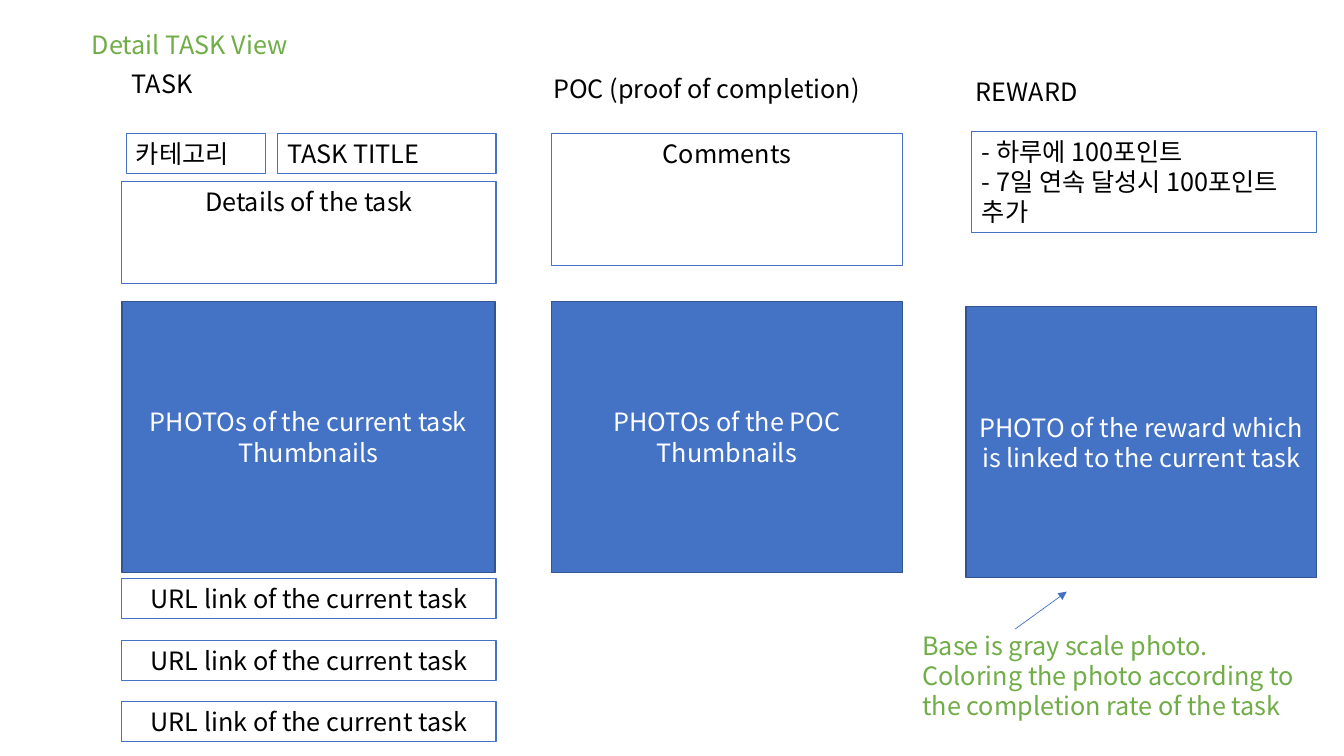
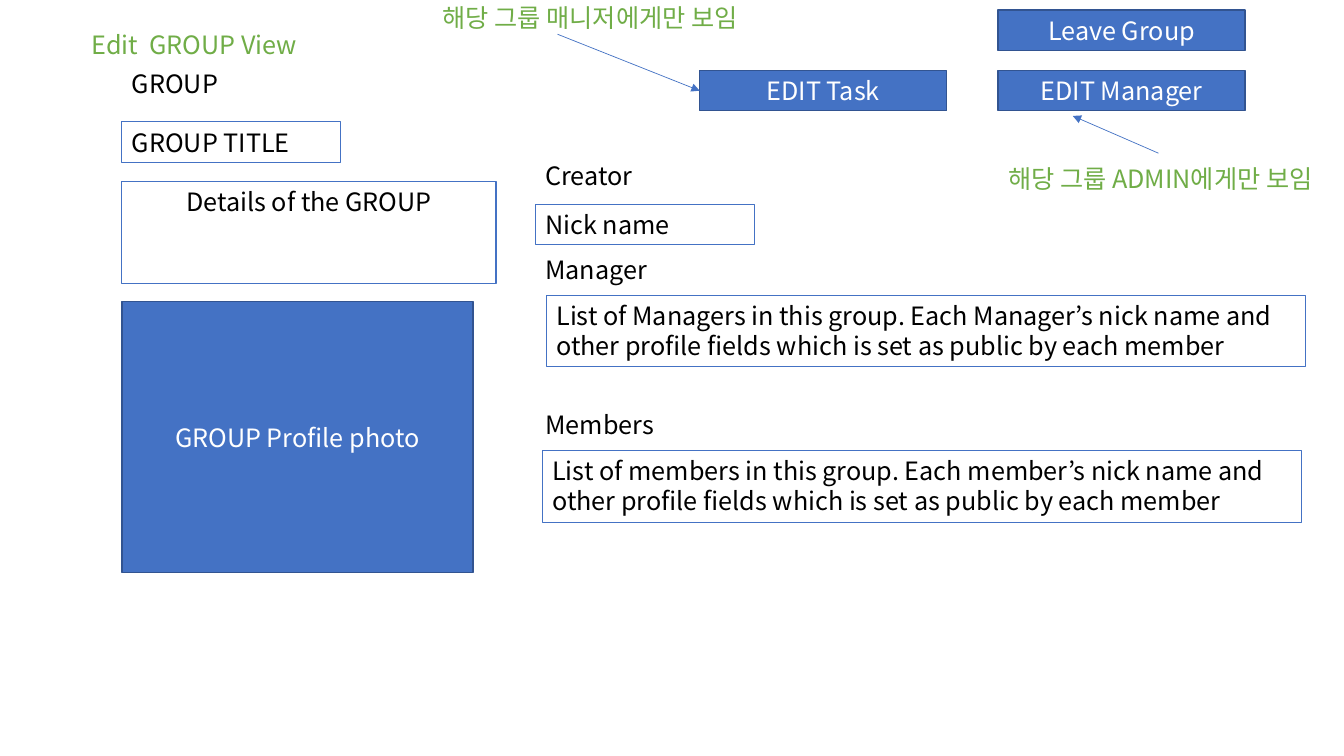
import pptx
import pptx.util
import pptx.dml.color
import pptx.enum.shapes
import pptx.enum.text
import pptx.oxml
import pptx.oxml.ns
from dataclasses import dataclass

Inches = pptx.util.Inches
Align = pptx.enum.text.PP_ALIGN
Anchor = pptx.enum.text.MSO_ANCHOR


@dataclass(frozen=True)
class Theme:
    font: str = "Noto Sans CJK KR"
    size: float = 18
    ink: str = "000000"
    light: str = "FFFFFF"
    note: str = "70AD47"
    accent: str = "4472C4"
    edge: str = "325491"
    field_line: float = 0.75
    block_line: float = 1
    arrow_line: float = 0.5
    row: float = 0.4
    column: float = 1.21
    photo_top: float = 2.99
    photo_width: float = 3.48
    photo_height: float = 2.69


THEME = Theme()


def rgb(code):
    return pptx.dml.color.RGBColor.from_string(code)


def place(area):
    return [Inches(length) for length in area]


def write(shape, words, color, align=Align.LEFT, anchor=Anchor.TOP):
    frame = shape.text_frame
    frame.text = words
    frame.word_wrap = True
    frame.auto_size = pptx.enum.text.MSO_AUTO_SIZE.NONE
    frame.vertical_anchor = anchor
    for paragraph in frame.paragraphs:
        paragraph.alignment = align
        for run in paragraph.runs:
            run.font.name = THEME.font
            run.font.size = pptx.util.Pt(THEME.size)
            run.font.color.rgb = rgb(color)
            east_asian = pptx.oxml.parse_xml(
                f'<a:ea {pptx.oxml.ns.nsdecls("a")} typeface="{THEME.font}"/>')
            run.font._element.find(pptx.oxml.ns.qn("a:latin")).addnext(east_asian)


def add_view(deck, heading):
    slide = deck.slides.add_slide(deck.slide_layouts[5])
    title = slide.shapes.title
    title.left, title.top, title.width, title.height = place((0.81, 0.24, 6.67, THEME.row))
    write(title, heading, THEME.note)
    return slide


def add_label(slide, words, left, top, width=3.27, height=THEME.row, color=THEME.ink):
    write(slide.shapes.add_textbox(*place((left, top, width, height))), words, color)


def add_box(slide, area, line_color, line_width):
    box = slide.shapes.add_shape(pptx.enum.shapes.MSO_SHAPE.RECTANGLE, *place(area))
    box.shadow.inherit = False
    box.line.color.rgb = rgb(line_color)
    box.line.width = pptx.util.Pt(line_width)
    return box


def add_field(slide, words, left, top, width, height=THEME.row, align=Align.LEFT):
    field = add_box(slide, (left, top, width, height), THEME.accent, THEME.field_line)
    field.fill.background()
    write(field, words, THEME.ink, align)


def add_block(slide, words, left, top, width, height):
    block = add_box(slide, (left, top, width, height), THEME.edge, THEME.block_line)
    block.fill.solid()
    block.fill.fore_color.rgb = rgb(THEME.accent)
    write(block, words, THEME.light, Align.CENTER, Anchor.MIDDLE)
    return block


def add_photo(slide, words, left, top=THEME.photo_top, width=THEME.photo_width):
    add_block(slide, words, left, top, width, THEME.photo_height)


def add_button(slide, words, left, top):
    return add_block(slide, words, left, top, 2.45, THEME.row)


def add_arrow(slide, start, end):
    arrow = slide.shapes.add_connector(
        pptx.enum.shapes.MSO_CONNECTOR.STRAIGHT, *place(start + end))
    arrow.line.color.rgb = rgb(THEME.accent)
    arrow.line.width = pptx.util.Pt(THEME.arrow_line)
    namespace = pptx.oxml.ns.nsdecls("a")
    arrow.line._get_or_add_ln().append(
        pptx.oxml.parse_xml(f'<a:tailEnd {namespace} type="triangle"/>'))
    arrow._element.spPr.append(pptx.oxml.parse_xml(f"<a:effectLst {namespace}/>"))
    return arrow


def add_details(slide, words):
    add_field(slide, words, THEME.column, 1.8, 3.71, 1.01, Align.CENTER)


def build_task_view(deck):
    slide = add_view(deck, "Detail TASK View")

    add_label(slide, "TASK", THEME.column, 0.63)
    add_field(slide, "카테고리", 1.25, 1.32, 1.38)
    add_field(slide, "TASK TITLE", 2.75, 1.32, 2.17)
    add_details(slide, "Details of the task")
    add_photo(slide, "PHOTOs of the current task Thumbnails", THEME.column, width=3.7)
    for position in range(3):
        add_field(slide, "URL link of the current task", THEME.column,
                  5.74 + 0.61 * position, 3.71, align=Align.CENTER)

    add_label(slide, "POC (proof of completion)", 5.39, 0.68)
    add_field(slide, "Comments", 5.47, 1.32, THEME.photo_width, 1.31, Align.CENTER)
    add_photo(slide, "PHOTOs of the POC\vThumbnails", 5.47)

    add_label(slide, "REWARD", 9.58, 0.71, 2.25)
    add_field(slide, "- 하루에 100포인트\n- 7일 연속 달성시 100포인트 추가", 9.64, 1.3, 3.42, 1.01)
    add_photo(slide, "PHOTO of the reward which is linked to the current task", 9.58, 3.04)
    add_label(slide, "Base is gray scale photo. Coloring the photo according to "
              "the completion rate of the task", 9.05, 6.2, 4, 1.01, THEME.note)
    add_arrow(slide, (10.07, 6.24), (10.58, 5.87))


def build_group_view(deck):
    slide = add_view(deck, "Edit  GROUP View")

    add_label(slide, "GROUP", THEME.column, 0.63)
    add_field(slide, "GROUP TITLE", THEME.column, 1.21, 2.17)
    add_details(slide, "Details of the GROUP")
    add_photo(slide, "GROUP Profile photo", THEME.column)

    for role, top in (("Creator", 1.54), ("Manager", 2.47), ("Members", 4.01)):
        add_label(slide, role, 5.31, top)
    add_field(slide, "Nick name", 5.31, 2.03, 2.17)
    for group, person, left, top in (("Managers", "Manager", 5.42, 2.93),
                                     ("members", "member", 5.38, 4.47)):
        add_field(slide, f"List of {group} in this group. Each {person}’s nick name and "
                  "other profile fields which is set as public by each member",
                  left, top, 7.53, 0.71)

    add_button(slide, "Leave Group", 9.9, 0.1)
    add_button(slide, "EDIT Manager", 9.9, 0.7)
    edit_task = add_button(slide, "EDIT Task", 6.94, 0.7)
    add_label(slide, "해당 그룹 매니저에게만 보임", 4.29, -0.03, 3.58, color=THEME.note)
    add_label(slide, "해당 그룹 ADMIN에게만 보임", 9.9, 1.57, 3.58, color=THEME.note)
    add_arrow(slide, (5.53, 0.34), (6.94, 0.9)).end_connect(edit_task, 1)
    add_arrow(slide, (11.49, 1.52), (10.64, 1.15))


def main():
    deck = pptx.Presentation()
    deck.slide_width = Inches(13.33)
    deck.slide_height = Inches(7.5)
    build_task_view(deck)
    build_group_view(deck)
    deck.save("out.pptx")


if __name__ == "__main__":
    main()
